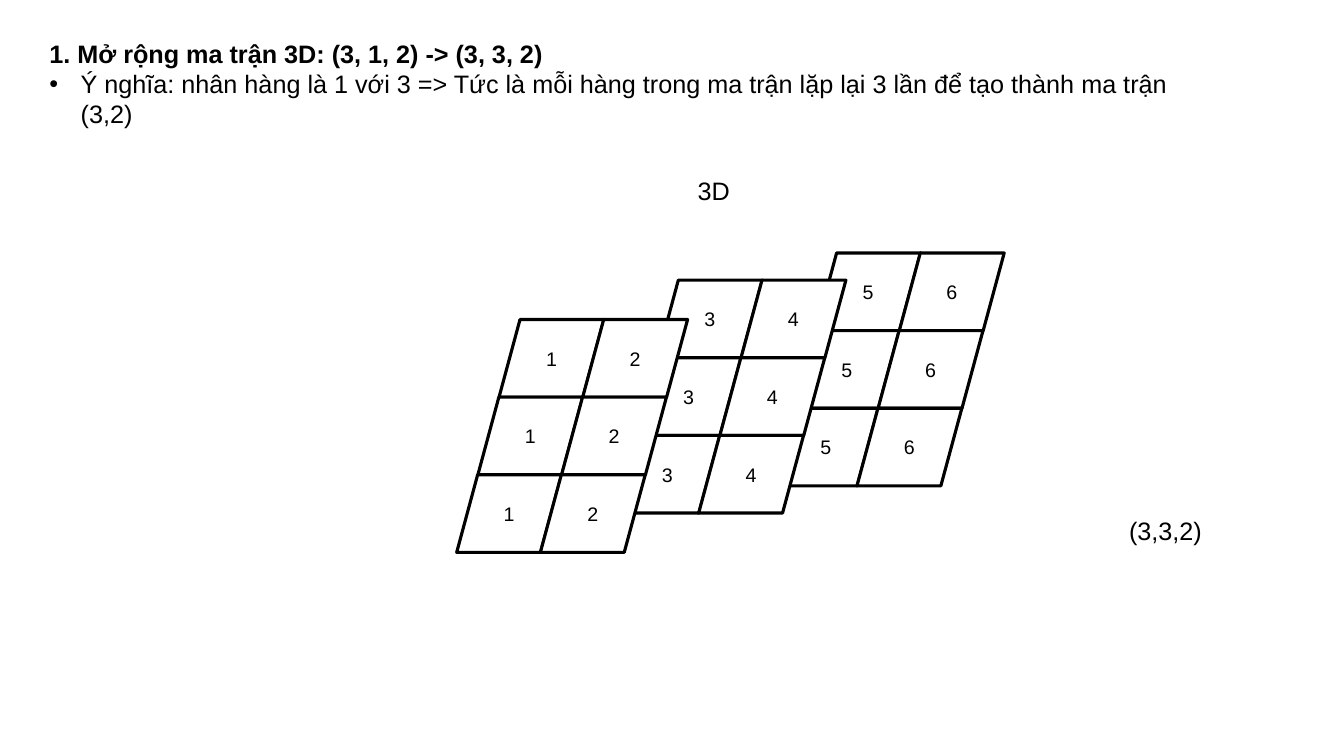
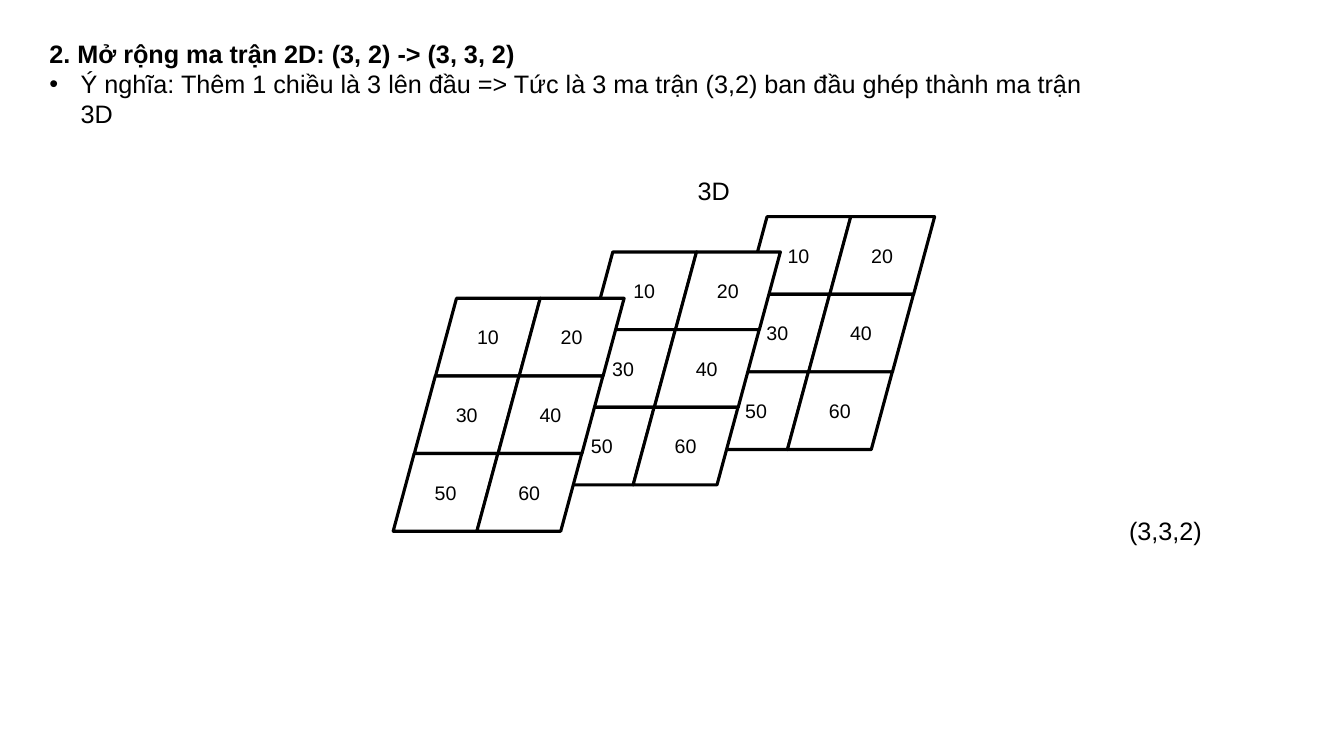
import pptx
import pptx.util
import pptx.dml.color
import pptx.enum.shapes
import pptx.enum.text

PX = 9144
FONT = "Arial"
COLORS = {"ink": "000000", "paper": "FFFFFF"}
CELL_W, CELL_H = 104, 77
STEP_X, STEP_Y, SLANT = 83, 77, 21

PAGES = [
    {
        "title": "1. Mở rộng ma trận 3D: (3, 1, 2) -> (3, 3, 2)",
        "body": "Ý nghĩa: nhân hàng là 1 với 3 => Tức là mỗi hàng trong ma trận "
                "lặp lại 3 lần để tạo thành ma trận (3,2)",
        "width": 1160,
        "sheets": [
            (809, 251, [(5, 6)] * 3),
            (652, 278, [(3, 4)] * 3),
            (495, 317, [(1, 2)] * 3),
        ],
    },
    {
        "title": "2. Mở rộng ma trận 2D: (3, 2) -> (3, 3, 2)",
        "body": "Ý nghĩa: Thêm 1 chiều là 3 lên đầu => Tức là 3 ma trận (3,2) "
                "ban đầu ghép thành ma trận 3D",
        "width": 1060,
        "sheets": [
            (x, y, [(10, 20), (30, 40), (50, 60)])
            for x, y in [(740, 215), (587, 250), (432, 296)]
        ],
    },
]


def color(name):
    return pptx.dml.color.RGBColor.from_string(COLORS[name])


def px(*sizes):
    return [size * PX for size in sizes]


def write(shape, text, size=18, bold=False, align="LEFT"):
    shape.text_frame.text = text
    para = shape.text_frame.paragraphs[0]
    para.alignment = pptx.enum.text.PP_ALIGN[align]
    font = para.runs[0].font
    font.name = FONT
    font.size = pptx.util.Pt(size)
    font.bold = bold
    font.color.rgb = color("ink")
    return para


def fill_holder(holder, text, box, bold=False):
    holder.left, holder.top, holder.width, holder.height = px(*box)
    frame = holder.text_frame
    frame.word_wrap = True
    frame.auto_size = pptx.enum.text.MSO_AUTO_SIZE.NONE
    frame.vertical_anchor = pptx.enum.text.MSO_ANCHOR.TOP
    para = write(holder, text, bold=bold)
    para.space_before = pptx.util.Pt(0)
    return para


def add_head(slide, page):
    title, body = slide.placeholders
    fill_holder(title, page["title"], (39, 33, page["width"], 40), bold=True)
    para = fill_holder(body, page["body"], (39, 63, page["width"], 70))
    props = para._p.get_or_add_pPr()
    props.set("marL", str(31 * PX))
    props.set("indent", str(-31 * PX))


def add_label(slide, text, box):
    label = slide.shapes.add_textbox(*px(*box))
    label.text_frame.word_wrap = True
    write(label, text)


def add_cell(group, text, x, y):
    kind = pptx.enum.shapes.MSO_SHAPE.FLOWCHART_DATA
    cell = group.shapes.add_shape(kind, *px(x, y, CELL_W, CELL_H))
    cell.shadow.inherit = False
    cell.fill.solid()
    cell.fill.fore_color.rgb = color("paper")
    cell.line.color.rgb = color("ink")
    cell.line.width = pptx.util.Pt(2.25)
    cell.text_frame.vertical_anchor = pptx.enum.text.MSO_ANCHOR.MIDDLE
    write(cell, text, size=14, align="CENTER")


def add_sheet(slide, x, y, rows):
    group = slide.shapes.add_group_shape()
    for r, row in enumerate(rows):
        for c, value in enumerate(row):
            add_cell(group, str(value), x + c * STEP_X - r * SLANT, y + r * STEP_Y)


def main():
    deck = pptx.Presentation()
    deck.slide_width, deck.slide_height = px(1333, 750)
    for page in PAGES:
        slide = deck.slides.add_slide(deck.slide_layouts[1])
        add_head(slide, page)
        add_label(slide, "3D", (682, 169, 60, 40))
        add_label(slide, "(3,3,2)", (1110, 506, 100, 40))
        for sheet in page["sheets"]:
            add_sheet(slide, *sheet)
    deck.save("out.pptx")


if __name__ == "__main__":
    main()
